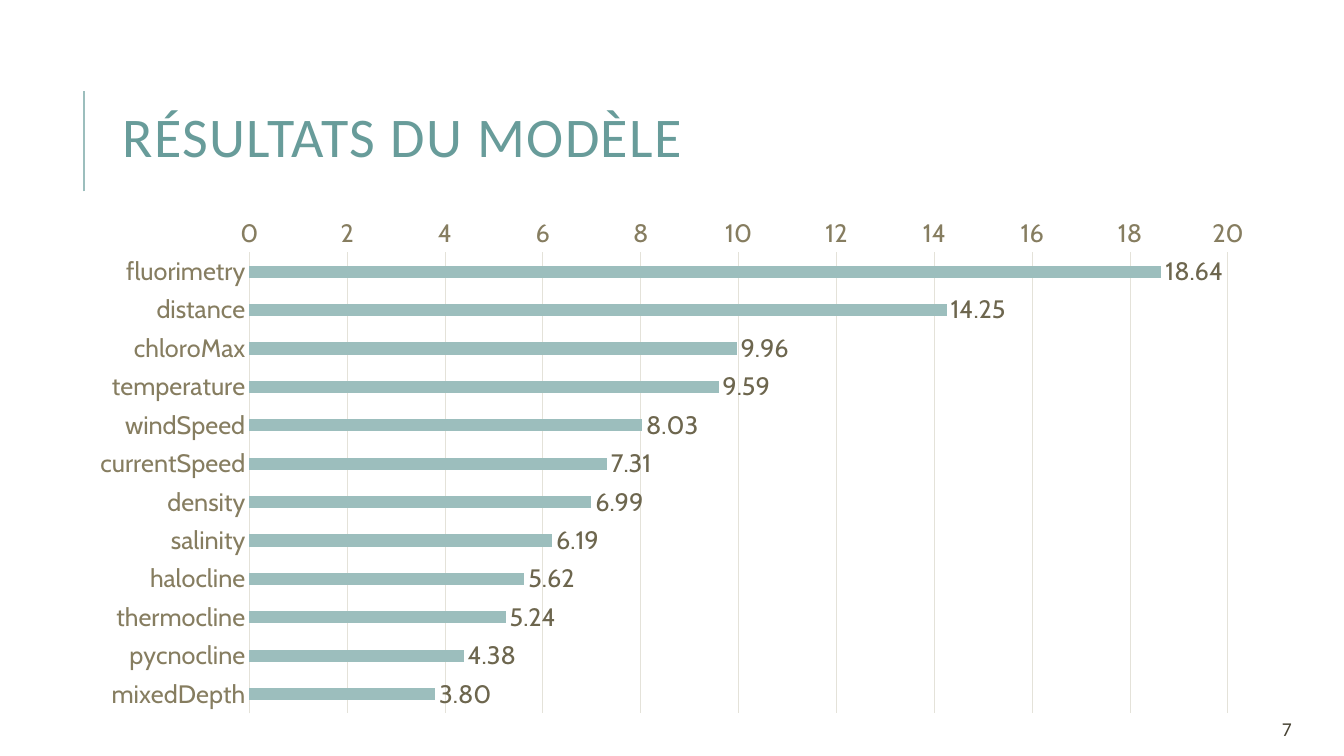
from dataclasses import dataclass

from lxml import etree
from pptx import Presentation
from pptx.chart.data import CategoryChartData
from pptx.dml.color import RGBColor
from pptx.enum.chart import XL_CHART_TYPE, XL_LABEL_POSITION, XL_TICK_LABEL_POSITION, XL_TICK_MARK
from pptx.enum.shapes import MSO_CONNECTOR
from pptx.enum.text import MSO_ANCHOR, PP_ALIGN
from pptx.oxml.ns import qn
from pptx.util import Inches, Pt

BAR = XL_CHART_TYPE.BAR_CLUSTERED
OUTSIDE_END = XL_LABEL_POSITION.OUTSIDE_END
NEXT_TO_AXIS = XL_TICK_LABEL_POSITION.NEXT_TO_AXIS
NO_TICK = XL_TICK_MARK.NONE
STRAIGHT = MSO_CONNECTOR.STRAIGHT
MIDDLE = MSO_ANCHOR.MIDDLE
LEFT, RIGHT = PP_ALIGN.LEFT, PP_ALIGN.RIGHT

INFLUENCE = {
    "fluorimetry": 18.64,
    "distance": 14.25,
    "chloroMax": 9.96,
    "temperature": 9.59,
    "windSpeed": 8.03,
    "currentSpeed": 7.31,
    "density": 6.99,
    "salinity": 6.19,
    "halocline": 5.62,
    "thermocline": 5.24,
    "pycnocline": 4.38,
    "mixedDepth": 3.80,
}


@dataclass(frozen=True)
class Theme:
    heading_font: str = "Calibri"
    chart_font: str = "Cabin"
    accent: str = "9CBEBD"
    heading: str = "689C9A"
    axis_text: str = "867D60"
    value_text: str = "6D664E"
    grid: str = "E4E2D9"
    footer: str = "474233"
    heading_size: int = 40
    chart_size: int = 18
    footer_size: int = 14
    rule_width: float = 1.5
    grid_width: float = 0.75


def style_font(font, name, size, color):
    font.name = name
    font.size = Pt(size)
    font.color.rgb = RGBColor.from_string(color)


def style_line(line, color, width):
    line.color.rgb = RGBColor.from_string(color)
    line.width = Pt(width)


class SlideBuilder:
    """Places elements by percentages of the slide's width and height."""

    def __init__(self, presentation, theme):
        self.theme = theme
        self.width = presentation.slide_width
        self.height = presentation.slide_height
        self.slide = presentation.slides.add_slide(presentation.slide_layouts[6])

    def place(self, x, y):
        return round(self.width * x / 100), round(self.height * y / 100)

    def text(self, content, at, size, *, points, color, align=LEFT, line_spacing=1.0, tracking=0):
        box = self.slide.shapes.add_textbox(*self.place(*at), *self.place(*size))
        frame = box.text_frame
        frame.word_wrap = True
        frame.vertical_anchor = MIDDLE
        paragraph = frame.paragraphs[0]
        paragraph.alignment = align
        paragraph.line_spacing = line_spacing
        run = paragraph.add_run()
        run.text = content
        style_font(run.font, self.theme.heading_font, points, color)
        if tracking:
            run.font._element.set("spc", str(tracking * 100))

    def rule(self, start, end):
        rule = self.slide.shapes.add_connector(STRAIGHT, *self.place(*start), *self.place(*end))
        style_line(rule.line, self.theme.accent, self.theme.rule_width)
        etree.SubElement(rule._element.spPr, qn("a:effectLst"))

    def bar_chart(self, values, at, size, *, maximum, step):
        theme = self.theme
        data = CategoryChartData()
        data.categories = list(values)
        data.add_series("Series 1", list(values.values()))
        frame = self.slide.shapes.add_chart(BAR, *self.place(*at), *self.place(*size), data)
        chart = frame.chart
        chart.has_legend = False
        chart.has_title = False
        style_font(chart.font, theme.chart_font, theme.chart_size, theme.axis_text)

        variables, scale = chart.category_axis, chart.value_axis
        for axis in (variables, scale):
            axis.major_tick_mark = axis.minor_tick_mark = NO_TICK
            axis.tick_label_position = NEXT_TO_AXIS
            style_font(axis.tick_labels.font, theme.chart_font, theme.chart_size, theme.axis_text)
        variables.reverse_order = True
        style_line(variables.format.line, theme.grid, theme.grid_width)
        scale.minimum_scale, scale.maximum_scale, scale.major_unit = 0, maximum, step
        scale.tick_labels.number_format = "General"
        scale.tick_labels.number_format_is_linked = False
        scale.format.line.fill.background()
        scale.has_major_gridlines = True
        style_line(scale.major_gridlines.format.line, theme.grid, theme.grid_width)

        plot = chart.plots[0]
        plot.gap_width = 219
        plot.vary_by_categories = False
        bars = plot.series[0]
        bars.format.fill.solid()
        bars.format.fill.fore_color.rgb = RGBColor.from_string(theme.accent)
        labels = bars.data_labels
        labels.show_value = True
        labels.position = OUTSIDE_END
        labels.number_format = "#,##0.00"
        labels.number_format_is_linked = False
        style_font(labels.font, theme.chart_font, theme.chart_size, theme.value_text)


def main():
    presentation = Presentation()
    presentation.slide_width = Inches(13.33)
    presentation.slide_height = Inches(7.5)
    theme = Theme()
    results = SlideBuilder(presentation, theme)
    results.rule((6.25, 25.33), (6.25, 12))
    results.bar_chart(INFLUENCE, (5.7, 27.47), (88.6, 68.27), maximum=20, step=2)
    results.text("RÉSULTATS DU MODÈLE", (8.4, 12.13), (79.75, 13.07),
                 points=theme.heading_size, color=theme.heading, line_spacing=0.8, tracking=1)
    results.text("7", (88.9, 94.4), (7.95, 4),
                 points=theme.footer_size, color=theme.footer, align=RIGHT)
    presentation.save("out.pptx")


if __name__ == "__main__":
    main()
